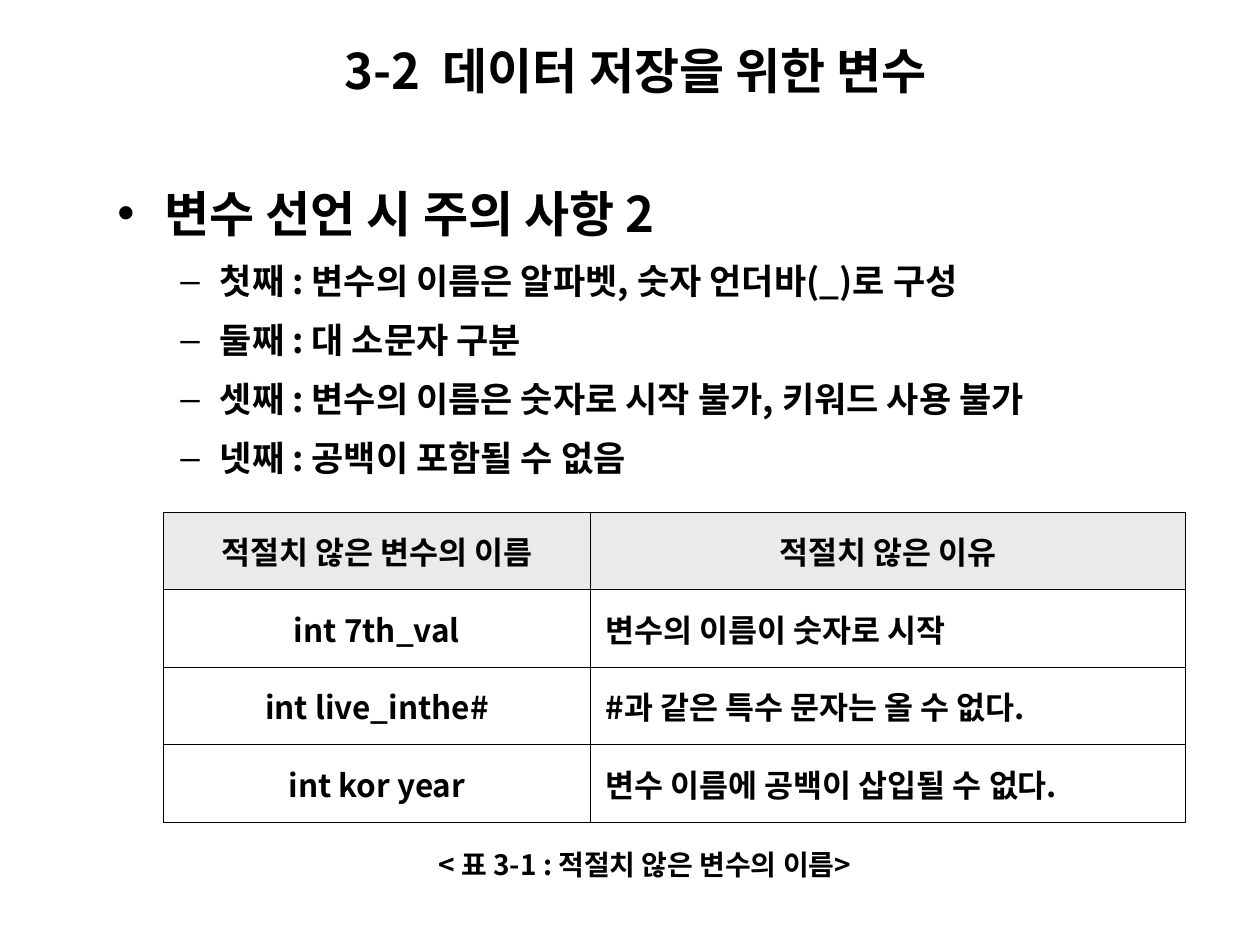
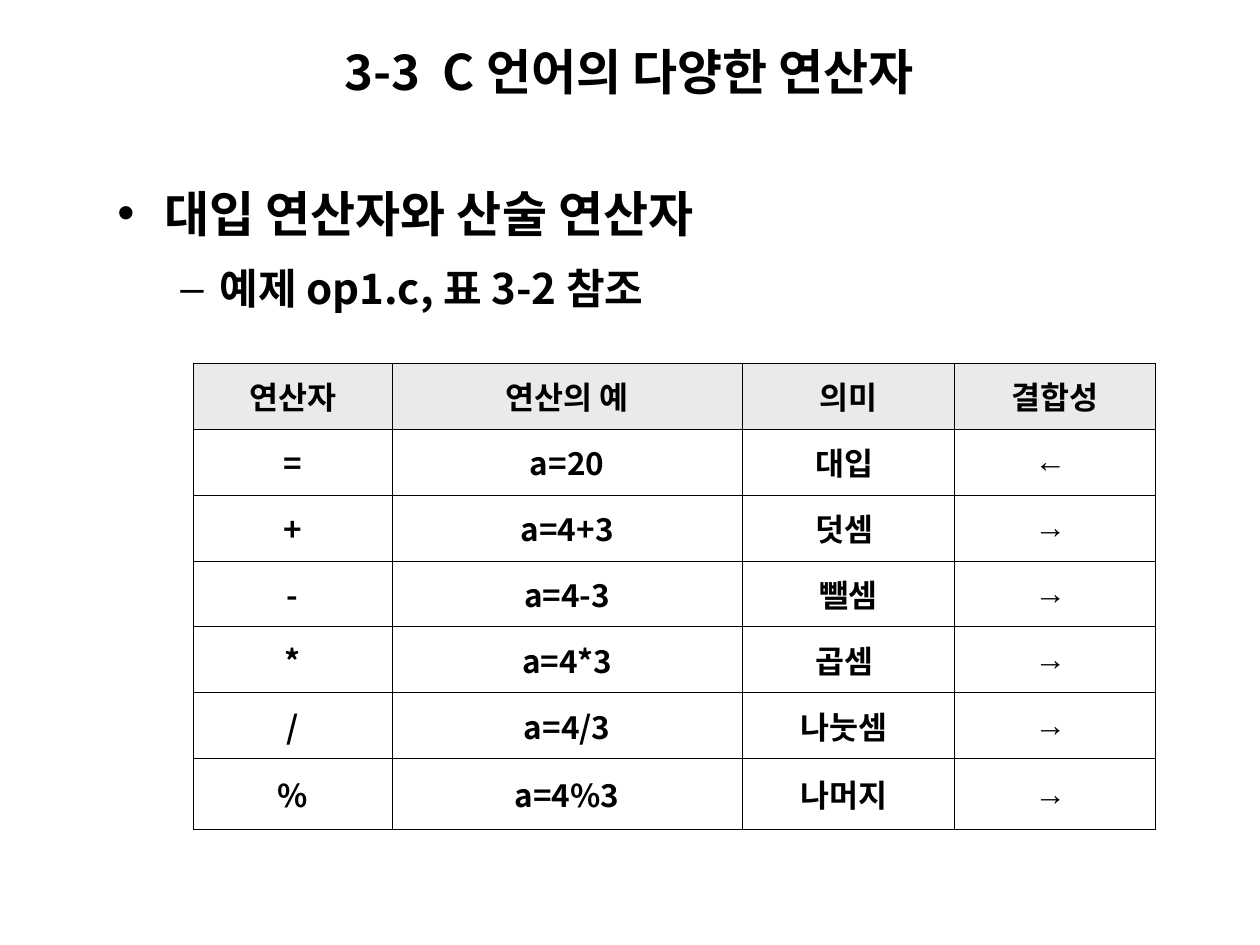
from lxml.etree import SubElement
from pptx import Presentation
from pptx.dml.color import RGBColor
from pptx.enum.text import MSO_ANCHOR as Anchor, MSO_AUTO_SIZE as AutoSize, PP_ALIGN as Align
from pptx.oxml.ns import qn
from pptx.util import Pt

BLACK = RGBColor(0x00, 0x00, 0x00)
HEADER_GRAY = RGBColor(0xEA, 0xEA, 0xEA)
WHITE = RGBColor(0xFF, 0xFF, 0xFF)
KOREAN_FONT = "Noto Sans CJK KR"
ARROW_FONT = "Arial"


def write(para, text, size=18, font=KOREAN_FONT, align=Align.LEFT, before=0, spacing=None):
    para.alignment = align
    para.space_before = Pt(before)
    if spacing:
        para.line_spacing = spacing
    span = para.add_run()
    span.text = text
    span.font.size = Pt(size)
    span.font.bold = True
    span.font.color.rgb = BLACK
    span.font.name = font
    SubElement(span.font._element, qn("a:ea"), typeface=font)


def add_bullet(para, mark, margin, hanging):
    props = para._p.get_or_add_pPr()
    props.set("marL", str(Pt(margin)))
    props.set("indent", str(-Pt(hanging)))
    color = SubElement(props, qn("a:buClr"))
    SubElement(color, qn("a:srgbClr"), val=str(BLACK))
    SubElement(props, qn("a:buFont"), typeface=ARROW_FONT)
    SubElement(props, qn("a:buChar"), char=mark)


def set_borders(cell, widths):
    props = cell._tc.get_or_add_tcPr()
    for position, (side, width) in enumerate(widths.items()):
        line = props.makeelement(qn(f"a:ln{side}"), {"w": str(Pt(width))})
        fill = SubElement(line, qn("a:solidFill"))
        SubElement(fill, qn("a:srgbClr"), val=str(BLACK))
        props.insert(position, line)


class LectureDeck:
    """Builds lecture pages in one shared style."""

    title_size = 28
    outer_line, inner_line = 0.75, 0.45

    def __init__(self):
        self.deck = Presentation()
        self.deck.slide_width, self.deck.slide_height = Pt(720), Pt(540)
        self.page = None

    def add_page(self):
        self.page = self.deck.slides.add_slide(self.deck.slide_layouts[6])
        fill = self.page.background.fill
        fill.solid()
        fill.fore_color.rgb = WHITE

    def add_box(self, left, top, width, height, anchor=Anchor.MIDDLE, wrap=True):
        box = self.page.shapes.add_textbox(Pt(left), Pt(top), Pt(width), Pt(height))
        frame = box.text_frame
        frame.word_wrap = wrap
        frame.vertical_anchor = anchor
        return frame

    def add_title(self, text, top, width):
        frame = self.add_box(190, top, width, 41)
        frame.auto_size = AutoSize.SHAPE_TO_FIT_TEXT
        write(frame.paragraphs[0], text, size=self.title_size)

    def add_caption(self, text):
        frame = self.add_box(190, 479.5, 357, 29, wrap=False)
        write(frame.paragraphs[0], text, size=16, align=Align.CENTER)

    def add_outline(self, heading, points, width, height, size, before):
        frame = self.add_box(60, 94.5, width, height, anchor=Anchor.TOP)
        para = frame.paragraphs[0]
        write(para, heading, size=self.title_size, before=7, spacing=1.2)
        add_bullet(para, "•", 27, 27)
        for point in points:
            para = frame.add_paragraph()
            para.level = 1
            write(para, point, size=size, before=before, spacing=1.2)
            add_bullet(para, "–", 58.5, 22.5)

    def add_table(self, left, top, columns, heights, rows, aligns, margin=7.2, before=0):
        frame = self.page.shapes.add_table(
            len(rows), len(columns), Pt(left), Pt(top), Pt(sum(columns)), Pt(sum(heights)))
        table = frame.table
        table.first_row = table.horz_banding = False
        for column, width in zip(table.columns, columns):
            column.width = Pt(width)
        for row, height in zip(table.rows, heights):
            row.height = Pt(height)
        last_row, last_column = len(rows) - 1, len(columns) - 1
        for r, texts in enumerate(rows):
            for c, text in enumerate(texts):
                cell = table.cell(r, c)
                cell.vertical_anchor = Anchor.MIDDLE
                cell.margin_left = cell.margin_right = Pt(margin)
                if r == 0:
                    cell.fill.solid()
                    cell.fill.fore_color.rgb = HEADER_GRAY
                else:
                    cell.fill.background()
                edges = {"L": c == 0, "R": c == last_column, "T": r == 0, "B": r == last_row}
                set_borders(cell, {side: self.outer_line if outer else self.inner_line
                                   for side, outer in edges.items()})
                write(cell.text_frame.paragraphs[0], text, before=before,
                      font=ARROW_FONT if text.strip() in ("←", "→") else KOREAN_FONT,
                      align=aligns[c] if r else Align.CENTER)


def build_variables_page(lecture):
    lecture.add_page()
    lecture.add_outline("변수 선언 시 주의 사항 2", [
        "첫째 : 변수의 이름은 알파벳, 숫자 언더바(_)로 구성",
        "둘째 : 대 소문자 구분",
        "셋째 : 변수의 이름은 숫자로 시작 불가, 키워드 사용 불가",
        "넷째 : 공백이 포함될 수 없음",
    ], width=641, height=183, size=20, before=5)
    lecture.add_caption("< 표 3-1 : 적절치 않은 변수의 이름>")
    lecture.add_title("3-2  데이터 저장을 위한 변수", top=19.5, width=408)
    lecture.add_table(93.4, 292.8, [244, 340], [44.25] * 4, [
        ("적절치 않은 변수의 이름", "적절치 않은 이유"),
        ("int 7th_val", "변수의 이름이 숫자로 시작"),
        ("int live_inthe#", "#과 같은 특수 문자는 올 수 없다."),
        ("int kor year", "변수 이름에 공백이 삽입될 수 없다."),
    ], aligns=[Align.CENTER, Align.LEFT], margin=8.64)


def build_operators_page(lecture):
    lecture.add_page()
    lecture.add_title("3-3  C 언어의 다양한 연산자", top=20.2, width=397)
    lecture.add_outline("대입 연산자와 산술 연산자", ["예제 op1.c, 표 3-2 참조"],
                        width=408, height=88.5, size=24, before=6)
    lecture.add_table(110.4, 207.5, [113.8, 199.8, 121.2, 115], [37.7] * 6 + [40.5], [
        ("연산자", "연산의 예", "의미", "결합성"),
        ("=", "a=20", "대입 ", "← "),
        ("+", "a=4+3", "덧셈 ", "→ "),
        ("-", "a=4-3", "뺄셈", "→ "),
        ("*", "a=4*3", "곱셈 ", "→ "),
        ("/", "a=4/3", "나눗셈 ", "→ "),
        ("%", "a=4%3", "나머지 ", "→ "),
    ], aligns=[Align.CENTER] * 4, before=4.5)


def main():
    lecture = LectureDeck()
    build_variables_page(lecture)
    build_operators_page(lecture)
    lecture.deck.save("out.pptx")


if __name__ == "__main__":
    main()
